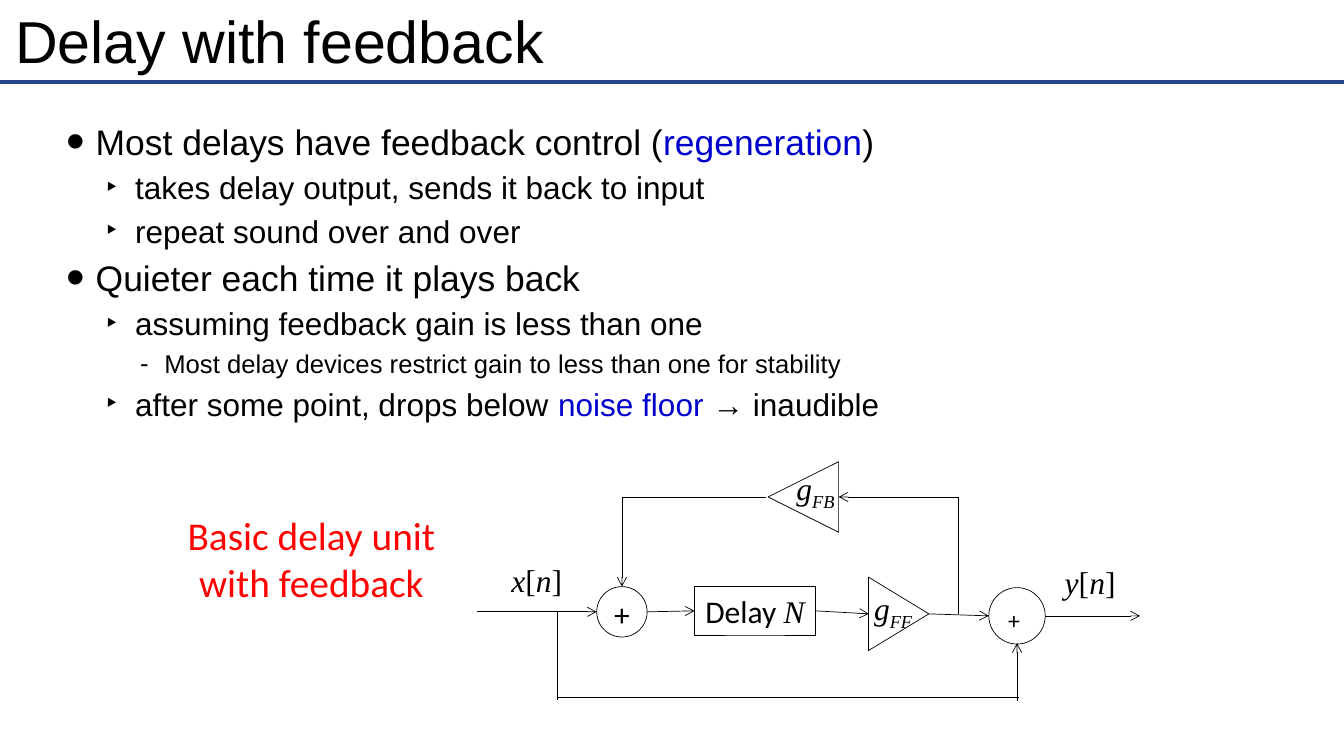
from lxml import etree
from pptx import Presentation
from pptx.dml.color import RGBColor
from pptx.enum.shapes import MSO_CONNECTOR as Link, MSO_SHAPE as Shape
from pptx.enum.text import MSO_ANCHOR as Anchor, MSO_AUTO_SIZE as Fit, PP_ALIGN as Align
from pptx.oxml.ns import qn
from pptx.util import Inches, Pt

# Content: text runs are (words, format name)
TITLE = [("Delay with feedback", "title")]
BODY = [  # (level, runs)
    (0, [("Most delays have feedback control (", "body"),
         ("regeneration", "key"), (")", "body")]),
    (1, [("takes delay output, sends it back to input", "body")]),
    (1, [("repeat sound over and over", "body")]),
    (0, [("Quieter each time it plays back", "body")]),
    (1, [("assuming feedback gain is less than one", "body")]),
    (2, [("Most delay devices restrict gain to less than one for stability", "body")]),
    (1, [("after some point, drops below ", "body"),
         ("noise floor ", "key"), ("→ inaudible", "body")]),
]
CAPTION = [("Basic delay unit with feedback", "note")]

# Formats
BLACK, BLUE, RED, RULE = "000000", "0000CC", "FF0000", "254789"
SERIF = {"name": "Times New Roman", "size": Pt(22.5)}
FORMATS = {
    "title": {"name": "Arial", "size": Pt(42.2)},
    "body": {"name": "Arial"},
    "key": {"name": "Arial", "color": BLUE},
    "note": {"name": "Calibri", "size": Pt(28.1), "color": RED},
    "sans": {"name": "Calibri", "size": Pt(22.5)},
    "small": {"name": "Calibri", "size": Pt(16.9)},
    "math": {**SERIF, "italic": True},
    "plain": {**SERIF, "italic": False},
    "sub": {**SERIF, "italic": True, "base": -25},
}
LEVELS = [  # size, left margin, hanging indent, bullet, bullet percent
    (25.3, 4.5, 2.9, "•", 150),
    (22.5, 8.4, 2.9, "‣", 100),
    (18.3, 11.3, 2.4, "-", 100),
]

# Grid: ten columns or rows to the inch
WIDE, HIGH = 133.33, 75
IN, OUT = 60.7, 61.1      # rows of the input and output signals
TOP, LOW = 49.3, 69.2     # rows of the feedback and bypass paths
TAP, SUM, TURN, MIX = 55.3, 61.7, 95.1, 100.9  # columns of the branches


def signal(name):
    return [(name, "math"), ("[", "plain"), ("n", "math"), ("]", "plain")]


def gain(name):
    return [("g", "math"), (name, "sub")]


NODES = {  # name: (preset, box, turn)
    "mix": (Shape.OVAL, (98.1, 58.3, 5.6, 5.6), 0),
    "sum": (Shape.OVAL, (59.2, 58.2, 5, 5), 0),
    "delay": (Shape.RECTANGLE, (68.9, 58.2, 12, 4.8), 0),
    "forward": (Shape.ISOSCELES_TRIANGLE, (85.5, 57.9, 7.3, 6), 90),
    "back": (Shape.ISOSCELES_TRIANGLE, (76.2, 45.8, 7, 7), 270),
}
LABELS = [  # (runs, box, wrap)
    (CAPTION, (16.7, 50.2, 28.4, 10.5), True),
    ([("+", "small")], (99, 59.6, 3.2, 3.8), False),
    ([("+", "sans")], (59.2, 58.5, 5, 4.8), True),
    (signal("x"), (49.7, 55.2, 7.1, 4.8), False),
    (signal("y"), (104.6, 55.4, 7.1, 4.8), False),
    (gain("FF"), (85.5, 57.9, 6.2, 4.8), False),
    (gain("FB"), (77.8, 46, 6.2, 4.8), False),
]
WIRES = [  # (start, end, arrow at the end)
    ((47.3, IN), (59.2, IN), True),
    ((64.2, IN), ("delay", 1), True),
    (("delay", 3), (86.2, 60.9), True),
    ((92.1, 60.9), (98.1, OUT), True),
    ((103.7, OUT), (113.1, OUT), True),
    ((TURN, 60.9), (TURN, TOP), False),
    ((TURN, TOP), (83.2, TOP), True),
    ((76, TOP), (SUM, TOP), False),
    ((SUM, TOP), (SUM, 58.2), True),
    ((TAP, IN), (TAP, 69.4), False),
    ((TAP, LOW), (101.1, LOW), False),
    ((MIX, 69.5), (MIX, 63.8), True),
]

deck = Presentation()
deck.slide_width, deck.slide_height = Inches(WIDE / 10), Inches(HIGH / 10)
slide = deck.slides.add_slide(deck.slide_layouts[6])


def cell(*marks):
    return [Inches(mark / 10) for mark in marks]


def hue(code):
    return RGBColor.from_string(code)


def write(para, runs, size=None):
    for words, kind in runs:
        run = para.add_run()
        run.text = words
        look = {"size": size, "color": BLACK, "base": 0, **FORMATS[kind]}
        run.font.color.rgb = hue(look.pop("color"))
        base = look.pop("base")
        for name, value in look.items():
            setattr(run.font, name, value)
        if base:
            run._r.get_or_add_rPr().set("baseline", str(base * 1000))


def setup(frame, pad=(1, 0.5), **look):
    sides = dict(zip(("margin_left", "margin_top", "margin_right", "margin_bottom"),
                     cell(*pad, *pad)))
    for name, value in {**sides, **look}.items():
        setattr(frame, name, value)
    return frame


def text(box, **look):
    return setup(slide.shapes.add_textbox(*cell(*box)).text_frame, **look)


def bullet(para, level):
    size, left, hang, mark, share = LEVELS[level]
    para.level = level
    para.space_before = Pt(4.2)
    props = para._p.get_or_add_pPr()
    props.set("marL", str(Inches(left / 10)))
    props.set("indent", str(-Inches(hang / 10)))
    for tag, key, value in (("a:buSzPct", "val", share * 1000),
                            ("a:buFont", "typeface", "Arial"),
                            ("a:buChar", "char", mark)):
        etree.SubElement(props, qn(tag)).set(key, str(value))
    return Pt(size)


def wire(start, end, arrow=False, color=BLACK, width=0.5):
    free = [(0, 0) if isinstance(spot[0], str) else spot for spot in (start, end)]
    link = slide.shapes.add_connector(Link.STRAIGHT, *cell(*free[0], *free[1]))
    for spot, join in ((start, link.begin_connect), (end, link.end_connect)):
        if isinstance(spot[0], str):
            join(nodes[spot[0]], spot[1])
    link.line.color.rgb, link.line.width = hue(color), Pt(width)
    if arrow:
        tail = etree.SubElement(link.line._get_or_add_ln(), qn("a:tailEnd"))
        tail.set("type", "arrow")
    etree.SubElement(link._element.spPr, qn("a:effectLst"))


# Heading and its rule
wire((0, 8.1), (WIDE, 8.1), color=RULE, width=3)
head = text((0.9, 0.4, 131.4, 7.1), pad=(0.6, 0.6), word_wrap=True,
            vertical_anchor=Anchor.MIDDLE)
write(head.paragraphs[0], TITLE)

# Bullet list
body = text((4.4, 8.4, 112.3, 37), pad=(0.6, 0.6), word_wrap=True,
            vertical_anchor=Anchor.MIDDLE)
for row, (level, runs) in enumerate(BODY):
    para = body.add_paragraph() if row else body.paragraphs[0]
    write(para, runs, bullet(para, level))

# Diagram nodes
nodes = {}
for name, (preset, box, turn) in NODES.items():
    node = nodes[name] = slide.shapes.add_shape(preset, *cell(*box))
    node.rotation = turn
    node.shadow.inherit = False
    node.fill.background()
    node.line.color.rgb, node.line.width = hue(BLACK), Pt(0.5)
inner = setup(nodes["delay"].text_frame, word_wrap=False,
              vertical_anchor=Anchor.TOP, auto_size=Fit.SHAPE_TO_FIT_TEXT)
inner.paragraphs[0].alignment = Align.CENTER
write(inner.paragraphs[0], [("Delay ", "sans"), ("N", "math")])

# Diagram wires
for start, end, arrow in WIRES:
    wire(start, end, arrow)

# Caption and diagram labels
for runs, box, wrap in LABELS:
    label = text(box, word_wrap=wrap, auto_size=Fit.SHAPE_TO_FIT_TEXT)
    label.paragraphs[0].alignment = Align.CENTER
    write(label.paragraphs[0], runs)

deck.save("out.pptx")
